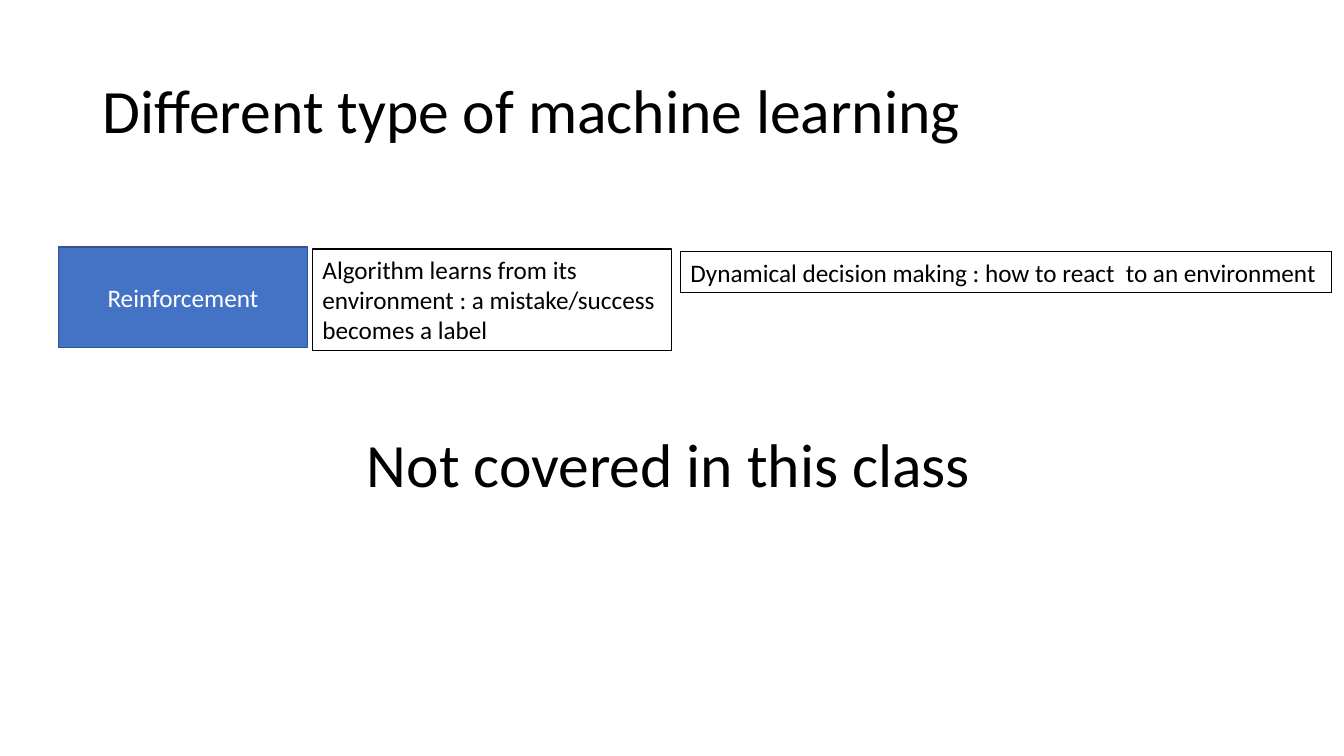
from pptx import Presentation
from pptx.dml.color import RGBColor
from pptx.enum.shapes import MSO_SHAPE
from pptx.enum.text import MSO_ANCHOR, PP_ALIGN
from pptx.util import Inches, Pt

COLOURS = {"black": "000000", "white": "FFFFFF", "blue": "4472C4", "navy": "325491"}


def colour(name):
    return RGBColor.from_string(COLOURS[name])


def write(shape, text, size, ink, frame_format, para_format):
    frame = shape.text_frame
    for name, value in frame_format.items():
        setattr(frame, name, value)
    para = frame.paragraphs[0]
    for name, value in para_format.items():
        setattr(para, name, value)
    span = para.add_run()
    span.text = text
    for name, value in {"name": "Calibri", "size": Pt(size)}.items():
        setattr(span.font, name, value)
    span.font.color.rgb = colour(ink)


deck = Presentation()
deck.slide_width, deck.slide_height = Inches(13.33), Inches(7.5)
page = deck.slides.add_slide(deck.slide_layouts[5])

title = page.shapes.title
title_place = {"left": 0.92, "top": 0.4, "width": 11.5, "height": 1.45}
for name, value in title_place.items():
    setattr(title, name, Inches(value))
write(title, "Different type of machine learning", 44, "black",
      {"vertical_anchor": MSO_ANCHOR.MIDDLE, "word_wrap": True},
      {"alignment": PP_ALIGN.LEFT, "line_spacing": 0.9})

label_style = {"fill": "blue", "line": "navy", "weight": 1, "ink": "white",
               "anchor": MSO_ANCHOR.MIDDLE, "align": PP_ALIGN.CENTER}
note_style = {"fill": None, "line": "black", "weight": 0.75, "ink": "black",
              "anchor": MSO_ANCHOR.TOP, "align": PP_ALIGN.LEFT}
boxes = [
    ("Reinforcement", (0.58, 2.45, 2.47, 1), label_style),
    ("Algorithm learns from its environment : a mistake/success becomes a label",
     (3.1, 2.47, 3.56, 1.01), note_style),
    ("Dynamical decision making : how to react  to an environment",
     (6.75, 2.5, 6.46, 0.4), note_style),
]
reinforcement_row = page.shapes.add_group_shape()
for text, place, style in boxes:
    box = reinforcement_row.shapes.add_shape(MSO_SHAPE.RECTANGLE, *map(Inches, place))
    box.shadow.inherit = False
    if style["fill"]:
        box.fill.solid()
        box.fill.fore_color.rgb = colour(style["fill"])
    else:
        box.fill.background()
    box.line.color.rgb = colour(style["line"])
    box.line.width = Pt(style["weight"])
    write(box, text, 18, style["ink"],
          {"vertical_anchor": style["anchor"], "word_wrap": True},
          {"alignment": style["align"]})

remark = page.shapes.add_textbox(Inches(3.54), Inches(4.18), Inches(6.26), Inches(0.84))
write(remark, "Not covered in this class", 44, "black",
      {"word_wrap": False}, {"alignment": PP_ALIGN.LEFT})

deck.save("out.pptx")
